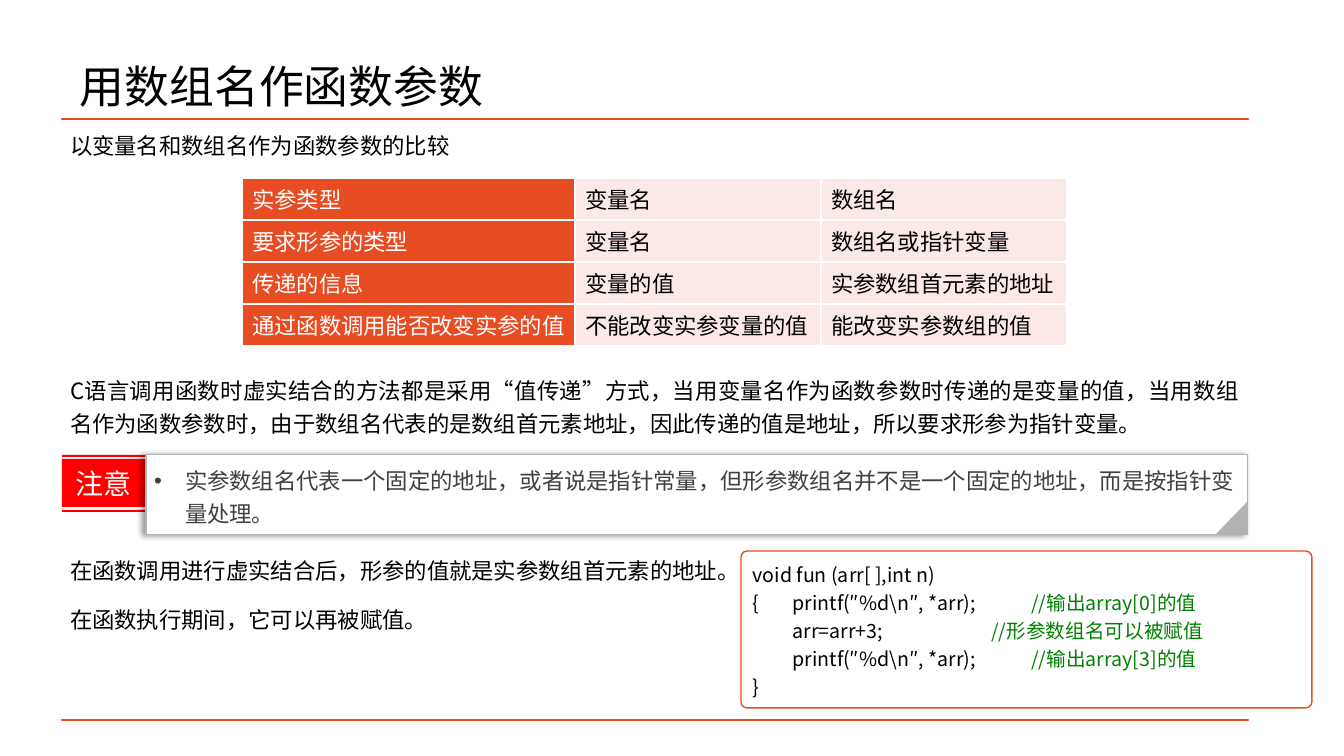
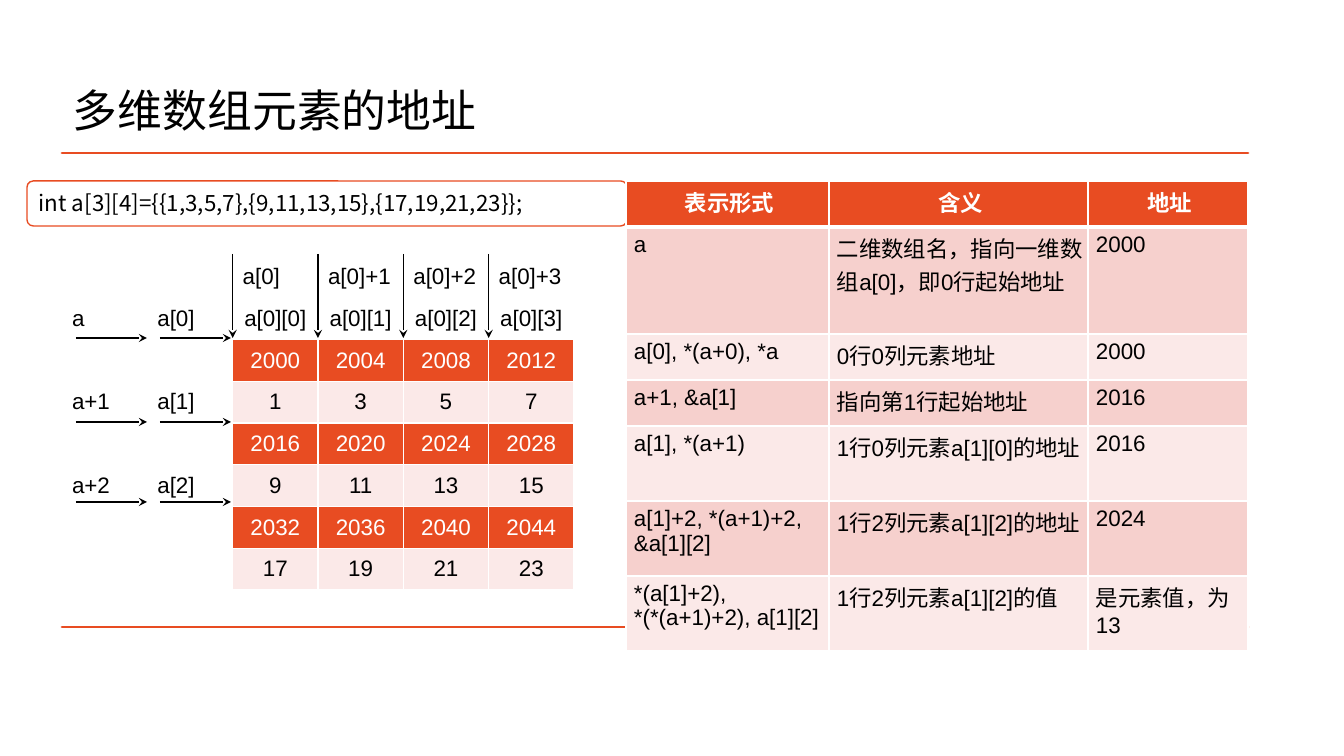
from lxml import etree
from pptx import Presentation
from pptx.dml.color import RGBColor
from pptx.enum.shapes import MSO_CONNECTOR, MSO_SHAPE
from pptx.enum.text import MSO_ANCHOR, PP_ALIGN
from pptx.oxml.ns import qn
from pptx.util import Pt

# Shared look
ORANGE = RGBColor(0xE8, 0x4C, 0x22)
PINK = RGBColor(0xF6, 0xD0, 0xCD)
PALE = RGBColor(0xFB, 0xE9, 0xE8)
RED = RGBColor(0xFF, 0x00, 0x00)
GREEN = RGBColor(0x00, 0x80, 0x00)
GREY = RGBColor(0xB2, 0xB2, 0xB2)
DARK = RGBColor(0x40, 0x40, 0x40)
BLACK = RGBColor(0x00, 0x00, 0x00)
WHITE = RGBColor(0xFF, 0xFF, 0xFF)
OFF_WHITE = RGBColor(0xFE, 0xFF, 0xFF)
HAN, LATIN = "Noto Sans CJK SC", "Arial"
PX = 914400 / 100.8
RULE_LEFT, RULE_RIGHT = 62, 1248
BODY_LINE, CODE_LINE = Pt(23.5), Pt(20)
TAB = Pt(28.4)

# Content of slide 1
TITLE_1 = "用数组名作函数参数"
BODY = [  # space before in points, text
    (0, "以变量名和数组名作为函数参数的比较"),
    (145.5, "C语言调用函数时虚实结合的方法都是采用“值传递”方式，当用变量名作为函数参数时"
            "传递的是变量的值，当用数组名作为函数参数时，由于数组名代表的是数组首元素地址，"
            "因此传递的值是地址，所以要求形参为指针变量。"),
    (75.5, "在函数调用进行虚实结合后，形参的值就是实参数组首元素的地址。"),
    (5.5, "在函数执行期间，它可以再被赋值。"),
]
COMPARISON = [
    ("实参类型", "变量名", "数组名"),
    ("要求形参的类型", "变量名", "数组名或指针变量"),
    ("传递的信息", "变量的值", "实参数组首元素的地址"),
    ("通过函数调用能否改变实参的值", "不能改变实参变量的值", "能改变实参数组的值"),
]
NOTICE_LABEL = "注意"
NOTICE = ("实参数组名代表一个固定的地址，或者说是指针常量，"
          "但形参数组名并不是一个固定的地址，而是按指针变量处理。")
CODE = [  # statement, comment
    ("void fun (arr[ ],int n)", ""),
    ("{\tprintf(″%d\\n″, *arr);\t\t", "//输出array[0]的值"),
    ("\tarr=arr+3;\t\t\t", "//形参数组名可以被赋值"),
    ("\tprintf(″%d\\n″, *arr);\t\t", "//输出array[3]的值"),
    ("}", ""),
]

# Content of slide 2
TITLE_2 = "多维数组元素的地址"
DECLARATION = "int a[3][4]={{1,3,5,7},{9,11,13,15},{17,19,21,23}};"
MEMORY = [
    ("", "", "a[0]", "a[0]+1", "a[0]+2", "a[0]+3"),
    ("a", "a[0]", "a[0][0]", "a[0][1]", "a[0][2]", "a[0][3]"),
    ("", "", "2000", "2004", "2008", "2012"),
    ("a+1", "a[1]", "1", "3", "5", "7"),
    ("", "", "2016", "2020", "2024", "2028"),
    ("a+2", "a[2]", "9", "11", "13", "15"),
    ("", "", "2032", "2036", "2040", "2044"),
    ("", "", "17", "19", "21", "23"),
]
MEANINGS = [
    ("表示形式", "含义", "地址"),
    ("a", "二维数组名，指向一维数组a[0]，即0行起始地址", "2000"),
    ("a[0], *(a+0), *a", "0行0列元素地址", "2000"),
    ("a+1, &a[1]", "指向第1行起始地址", "2016"),
    ("a[1], *(a+1)", "1行0列元素a[1][0]的地址", "2016"),
    ("a[1]+2, *(a+1)+2, &a[1][2]", "1行2列元素a[1][2]的地址", "2024"),
    ("*(a[1]+2), *(*(a+1)+2), a[1][2]", "1行2列元素a[1][2]的值", "是元素值，为13"),
]


def px(value):
    return round(value * PX)


def box_px(*values):
    return [px(value) for value in values]


def write(frame, paragraphs, size=16, font=HAN, align=PP_ALIGN.LEFT, bold=False,
          line=None, anchor=MSO_ANCHOR.TOP, inset=None):
    """Each paragraph is a list of (text, colour) runs; inset is (sides, top and bottom)."""
    frame.word_wrap = True
    frame.vertical_anchor = anchor
    if inset:
        frame.margin_left = frame.margin_right = px(inset[0])
        frame.margin_top = frame.margin_bottom = px(inset[1])
    for i, runs in enumerate(paragraphs):
        para = frame.add_paragraph() if i else frame.paragraphs[0]
        para.alignment = align
        if line:
            para.line_spacing = line
        for text, colour in runs:
            run = para.add_run()
            run.text = text
            run.font.size, run.font.bold, run.font.name = Pt(size), bold, font
            run.font.color.rgb = colour
            etree.SubElement(run.font._element, qn("a:ea"), typeface=HAN)


def add_arrow(slide, x1, y1, x2, y2):
    arrow = slide.shapes.add_connector(MSO_CONNECTOR.STRAIGHT, *box_px(x1, y1, x2, y2))
    arrow.line.color.rgb, arrow.line.width = BLACK, Pt(1)
    etree.SubElement(arrow.line._get_or_add_ln(), qn("a:tailEnd"), type="stealth")
    etree.SubElement(arrow._element.spPr, qn("a:effectLst"))


def add_block(slide, kind, box, fill, outline=None, width=1):
    block = slide.shapes.add_shape(kind, *box_px(*box))
    block.shadow.inherit = False
    block.fill.solid()
    block.fill.fore_color.rgb = fill
    if outline is None:
        block.line.fill.background()
    else:
        block.line.color.rgb, block.line.width = outline, Pt(width)
    return block


def add_code_box(slide, box, radius, lines, size, line=None):
    block = add_block(slide, MSO_SHAPE.ROUNDED_RECTANGLE, box, WHITE, ORANGE)
    block.adjustments[0] = radius
    write(block.text_frame, lines, size, line=line, anchor=MSO_ANCHOR.MIDDLE)
    block.text_frame.margin_bottom = px(7)
    return block


def add_grid(slide, left, top, widths, heights, rows, style):
    """style(row, column) gives fill, text colour and further options of a cell."""
    table = slide.shapes.add_table(len(rows), len(widths), *box_px(
        left, top, sum(widths), sum(heights))).table
    table.first_row = table.horz_banding = False
    for column, width in zip(table.columns, widths):
        column.width = px(width)
    for row, height in zip(table.rows, heights):
        row.height = px(height)
    for r, texts in enumerate(rows):
        for c, text in enumerate(texts):
            cell = table.cell(r, c)
            fill, colour, options = style(r, c)
            cell.vertical_anchor = options.pop("cell_anchor", MSO_ANCHOR.TOP)
            if "margins" in options:
                cell.margin_left, cell.margin_right = box_px(*options.pop("margins"))
            borders = options.pop("borders", {})
            if text:
                write(cell.text_frame, [[(text, colour)]], font=LATIN, **options)
            if fill is None:
                cell.fill.background()
                continue
            cell.fill.solid()
            cell.fill.fore_color.rgb = fill
            for i, (side, width) in enumerate(borders.items()):
                edge = etree.Element(qn("a:ln" + side), w=str(Pt(width)))
                paint = etree.SubElement(edge, qn("a:solidFill"))
                etree.SubElement(paint, qn("a:srgbClr"), val=str(WHITE))
                cell._tc.get_or_add_tcPr().insert(i, edge)


def start_slide(deck, title, title_at, rule_tops):
    """Add the title and the frame of two rules; return the slide and the frame."""
    slide = deck.slides.add_slide(deck.slide_layouts[6])
    heading = slide.shapes.add_textbox(*box_px(*title_at, 1159, 105))
    write(heading.text_frame, [[(title, BLACK)]], 32, line=0.9, anchor=MSO_ANCHOR.MIDDLE)
    top, bottom = rule_tops
    outline = slide.shapes.build_freeform(*box_px(RULE_LEFT, bottom))
    for y in (bottom, top):
        if y == top:
            outline.move_to(*box_px(RULE_LEFT, y))
        outline.add_line_segments([box_px(RULE_RIGHT, y), box_px(RULE_LEFT, y)], close=True)
    rules = outline.convert_to_shape()
    rules.shadow.inherit = False
    rules.fill.background()
    rules.line.color.rgb, rules.line.width = ORANGE, Pt(2)
    return slide, rules


def add_notice(slide):
    # Red label between two thin stripes
    for top, height in ((455, 2), (459, 48), (510, 2)):
        stripe = add_block(slide, MSO_SHAPE.RECTANGLE, (RULE_LEFT, top, 83, height), RED)
        if height > 2:
            write(stripe.text_frame, [[(NOTICE_LABEL, OFF_WHITE)]], 20,
                  align=PP_ALIGN.CENTER, anchor=MSO_ANCHOR.MIDDLE)
    # Note with a shadow to the left and a folded corner
    note = add_block(slide, MSO_SHAPE.RECTANGLE, (146, 455, 1102, 80), OFF_WHITE, GREY, 0.75)
    effects = note._element.spPr.find(qn("a:effectLst"))
    shadow = etree.SubElement(effects, qn("a:outerShdw"), blurRad=str(Pt(4)),
                              dist=str(Pt(3)), dir=str(180 * 60000), rotWithShape="0")
    tint = etree.SubElement(shadow, qn("a:srgbClr"), val=str(BLACK))
    etree.SubElement(tint, qn("a:alpha"), val="40000")
    props = note.text_frame.paragraphs[0]._p.get_or_add_pPr()
    props.set("marL", str(px(31)))
    props.set("indent", str(-px(31)))
    etree.SubElement(props, qn("a:buFont"), typeface=LATIN)
    etree.SubElement(props, qn("a:buChar"), char="•")
    write(note.text_frame, [[(NOTICE, DARK)]], line=BODY_LINE, inset=(8, 6))
    fold = add_block(slide, MSO_SHAPE.RIGHT_TRIANGLE, (1215, 502, 33, 32), GREY)
    fold.rotation = 270


def build_parameters(deck):
    slide, rules = start_slide(deck, TITLE_1, (70, 37), (119, 720))
    # Body text, leaving room for the table and the notice
    write(rules.text_frame, [[(text, BLACK)] for _, text in BODY],
          align=PP_ALIGN.JUSTIFY, line=BODY_LINE, inset=(8, 7))
    for para, (before, _) in zip(rules.text_frame.paragraphs, BODY):
        para.space_after = Pt(6)
        if before:
            para.space_before = Pt(before)

    def style(row, column):
        return (PALE, BLACK, {}) if column else (ORANGE, WHITE, {})

    add_grid(slide, 242, 178, (333, 246, 246), [42] * 4, COMPARISON, style)
    add_notice(slide)

    # Code with even tab stops
    lines = [[run for run in ((code, BLACK), (comment, GREEN)) if run[0]]
             for code, comment in CODE]
    listing = add_code_box(slide, (741, 551, 571, 157), 0.04, lines, 14, CODE_LINE)
    for para in listing.text_frame.paragraphs:
        stops = etree.SubElement(para._p.get_or_add_pPr(), qn("a:tabLst"))
        for i in range(1, 8):
            etree.SubElement(stops, qn("a:tab"), pos=str(TAB * i), algn="l")


def build_addresses(deck):
    slide, _ = start_slide(deck, TITLE_2, (63, 61), (153, 627))

    def memory_style(row, column):
        options = {"cell_anchor": MSO_ANCHOR.MIDDLE}
        if column < 2 or row == 0:
            return None, BLACK, options
        options["align"] = PP_ALIGN.CENTER
        if row == 1:
            return None, BLACK, options
        options["borders"] = {"L": 1, "R": 1}
        return (PALE, BLACK, options) if row % 2 else (ORANGE, WHITE, options)

    column = 512 / 6
    add_grid(slide, RULE_LEFT, 256, [column] * 6, [334 / 8] * 8, MEMORY, memory_style)

    # Arrows onto the columns, then onto the rows
    for i in range(2, 6):
        x = RULE_LEFT + column * i
        add_arrow(slide, x, 254, x, 338)
    for y in (338, 422, 502):
        for x in (76, 160):
            add_arrow(slide, x, y, x + 71, y)

    add_code_box(slide, (27, 181, 600, 45), 0.14, [[(DECLARATION, BLACK)]], 16)

    def meaning_style(row, column):
        options = {"margins": (8, 4)}
        if row == 0:
            options.update(align=PP_ALIGN.CENTER, bold=True,
                           borders={"L": 1, "R": 1, "T": 1, "B": 3})
            return ORANGE, WHITE, options
        return PINK if row % 2 else PALE, BLACK, options

    add_grid(slide, 626, 181, (203, 259, 160), (46, 107, 46, 46, 75, 75, 75),
             MEANINGS, meaning_style)


def main():
    deck = Presentation()
    deck.slide_width, deck.slide_height = box_px(1344, 756)
    build_parameters(deck)
    build_addresses(deck)
    deck.save("out.pptx")


if __name__ == "__main__":
    main()
